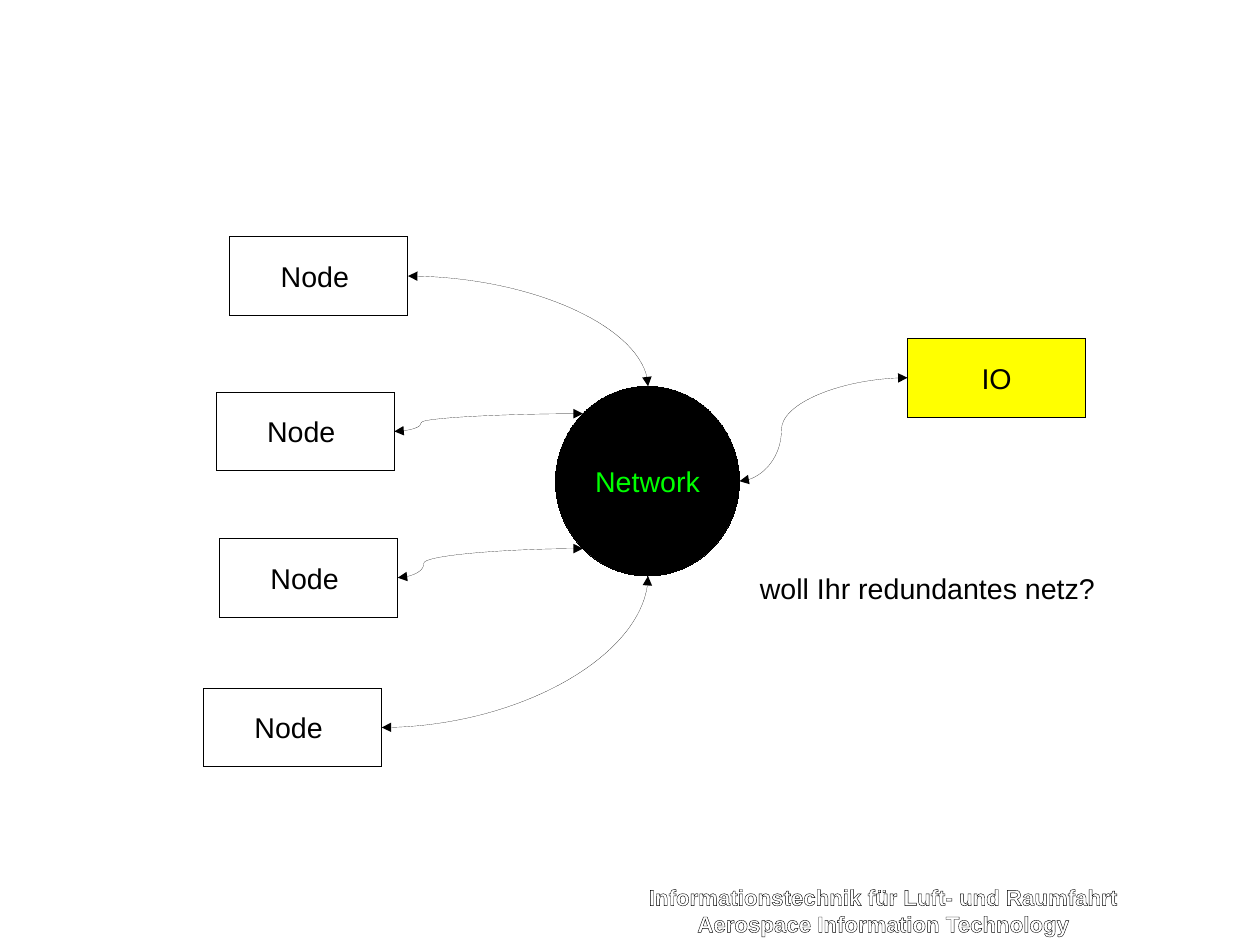
"""Builds a slide of nodes and an IO unit joined through one network."""
from lxml.etree import SubElement
from pptx import Presentation
from pptx.dml.color import RGBColor
from pptx.enum.shapes import MSO_CONNECTOR, MSO_SHAPE
from pptx.enum.text import MSO_ANCHOR, MSO_AUTO_SIZE, PP_ALIGN
from pptx.oxml import parse_xml
from pptx.oxml.ns import nsdecls, qn
from pptx.util import Inches, Pt

COLORS = {"black": "000000", "white": "FFFFFF", "yellow": "FFFF00", "green": "00FF00"}
CM_PER_INCH = 2.54
BOX_WIDTH, BOX_HEIGHT = 1.56, 0.69
RIGHT_SITE, LEFT_SITE = 3, 1
NETWORK_RIGHT_SITE = 6


def write(frame, text, size, color, align, bold=False):
    frame.text = text
    for paragraph in frame.paragraphs:
        paragraph.alignment = align
        for run in paragraph.runs:
            run.font.name = "Arial"
            run.font.size = Pt(size)
            run.font.bold = bold
            run.font.color.rgb = RGBColor.from_string(COLORS[color])


def add_block(kind, left, top, width, height, fill, text, color):
    block = slide.shapes.add_shape(kind, Inches(left), Inches(top), Inches(width), Inches(height))
    block.shadow.inherit = False
    block.fill.solid()
    block.fill.fore_color.rgb = RGBColor.from_string(COLORS[fill])
    block.text_frame.vertical_anchor = MSO_ANCHOR.MIDDLE
    write(block.text_frame, text, 18, color, PP_ALIGN.CENTER)
    return block


prs = Presentation()
prs.slide_width, prs.slide_height = Inches(28 / CM_PER_INCH), Inches(21 / CM_PER_INCH)
slide = prs.slides.add_slide(prs.slide_layouts[6])

network = add_block(MSO_SHAPE.OVAL, 4.86, 3.38, 1.61, 1.66, "black", "Network", "green")
nodes = [
    add_block(MSO_SHAPE.RECTANGLE, left, top, BOX_WIDTH, BOX_HEIGHT, "white", "Node ", "black")
    for left, top in [(2.01, 2.07), (1.89, 3.43), (1.92, 4.71), (1.78, 6.02)]
]
io_unit = add_block(MSO_SHAPE.RECTANGLE, 7.94, 2.96, BOX_WIDTH, BOX_HEIGHT, "yellow", "IO", "black")

network_ends = [(5.67, 3.38, 0, None), (5.1, 3.62, 1, 14300), (5.1, 4.8, 3, 14100), (5.67, 5.04, 4, None)]
routes = [
    (node, RIGHT_SITE, network, site, Inches(x), Inches(y), bend)
    for node, (x, y, site, bend) in zip(nodes, network_ends)
]
routes.append((network, NETWORK_RIGHT_SITE, io_unit, LEFT_SITE,
               io_unit.left, io_unit.top + io_unit.height // 2, 25000))

links = []
for source, source_site, target, target_site, end_x, end_y, bend in routes:
    link = slide.shapes.add_connector(
        MSO_CONNECTOR.CURVE, source.left + source.width, source.top + source.height // 2, end_x, end_y)
    geometry = link._element.spPr.find(qn("a:prstGeom"))
    if bend is None:
        geometry.set("prst", "curvedConnector2")
    else:
        SubElement(geometry.find(qn("a:avLst")), qn("a:gd"), name="adj1", fmla=f"val {bend}")
    glue = link._element.nvCxnSpPr.cNvCxnSpPr
    for tag, block, site in (("a:stCxn", source, source_site), ("a:endCxn", target, target_site)):
        SubElement(glue, qn(tag), id=str(block.shape_id), idx=str(site))
    links.append(link)

for part in (network, *nodes, io_unit, *links):
    part.line.color.rgb = RGBColor.from_string(COLORS["black"])
    part._element.spPr.find(qn("a:ln")).set("w", "0")

for link in links:
    properties = link._element.spPr
    for arrow in ("a:headEnd", "a:tailEnd"):
        SubElement(properties.find(qn("a:ln")), qn(arrow), type="triangle")
    SubElement(properties, qn("a:effectLst"))

question = slide.shapes.add_textbox(Inches(6.55), Inches(4.95), Inches(3.13), Inches(0.38))
footer = slide.shapes.add_textbox(Inches(5.53), Inches(7.68), Inches(4.4), Inches(0.54))
for caption in (question, footer):
    caption.text_frame.word_wrap = False
    caption.text_frame.auto_size = MSO_AUTO_SIZE.SHAPE_TO_FIT_TEXT
write(question.text_frame, "woll Ihr redundantes netz?", 18, "black", PP_ALIGN.LEFT)
write(footer.text_frame, "Informationstechnik für Luft- und Raumfahrt\nAerospace Information Technology",
      14, "white", PP_ALIGN.CENTER, bold=True)
for paragraph in footer.text_frame.paragraphs:
    for run in paragraph.runs:
        run._r.get_or_add_rPr().insert(0, parse_xml(
            f'<a:ln {nsdecls("a")} w="9525"><a:solidFill><a:srgbClr val="{COLORS["black"]}"/></a:solidFill></a:ln>'))

prs.save("out.pptx")
